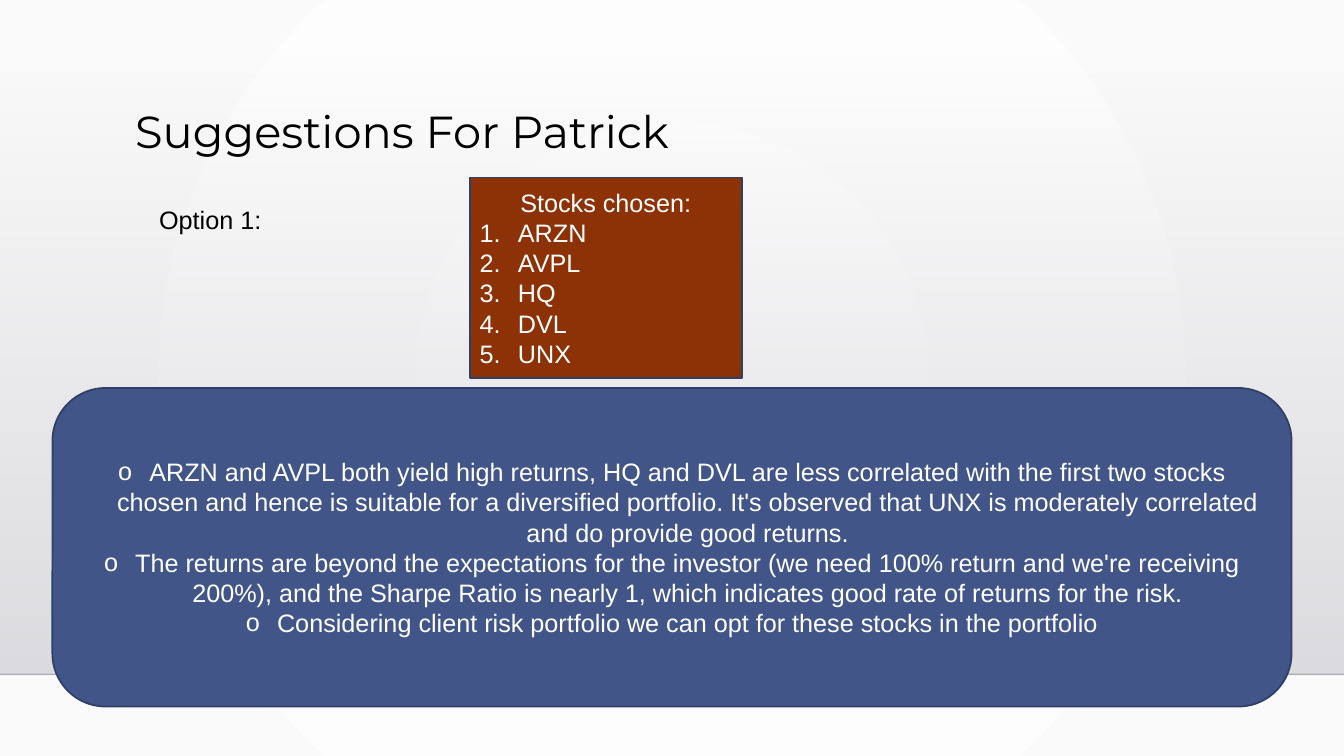
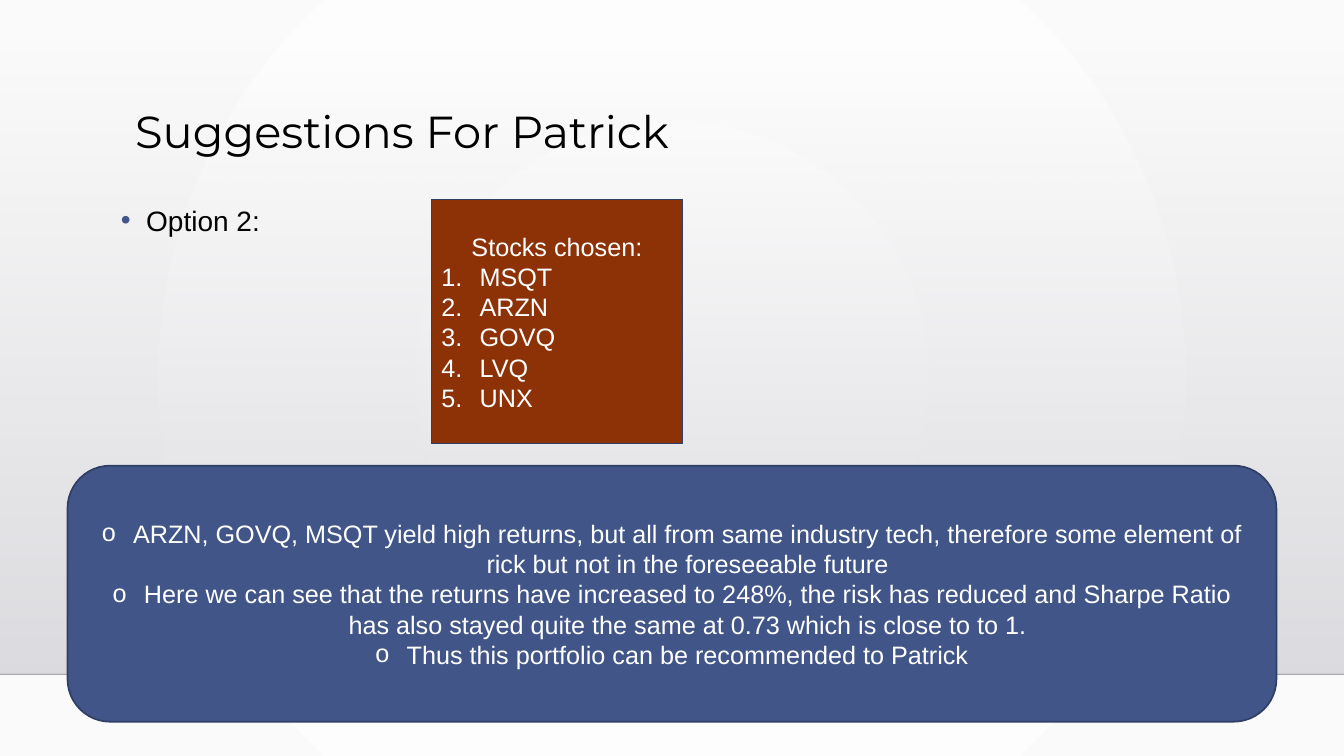
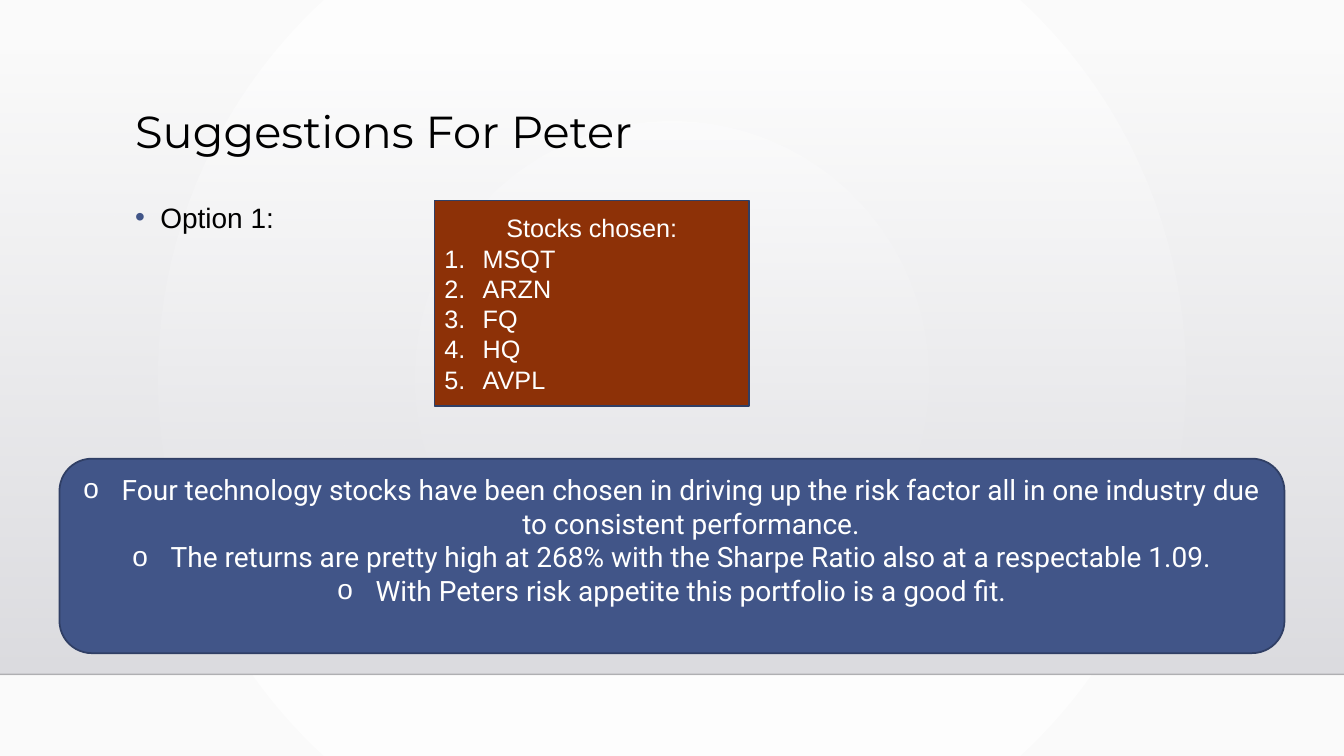
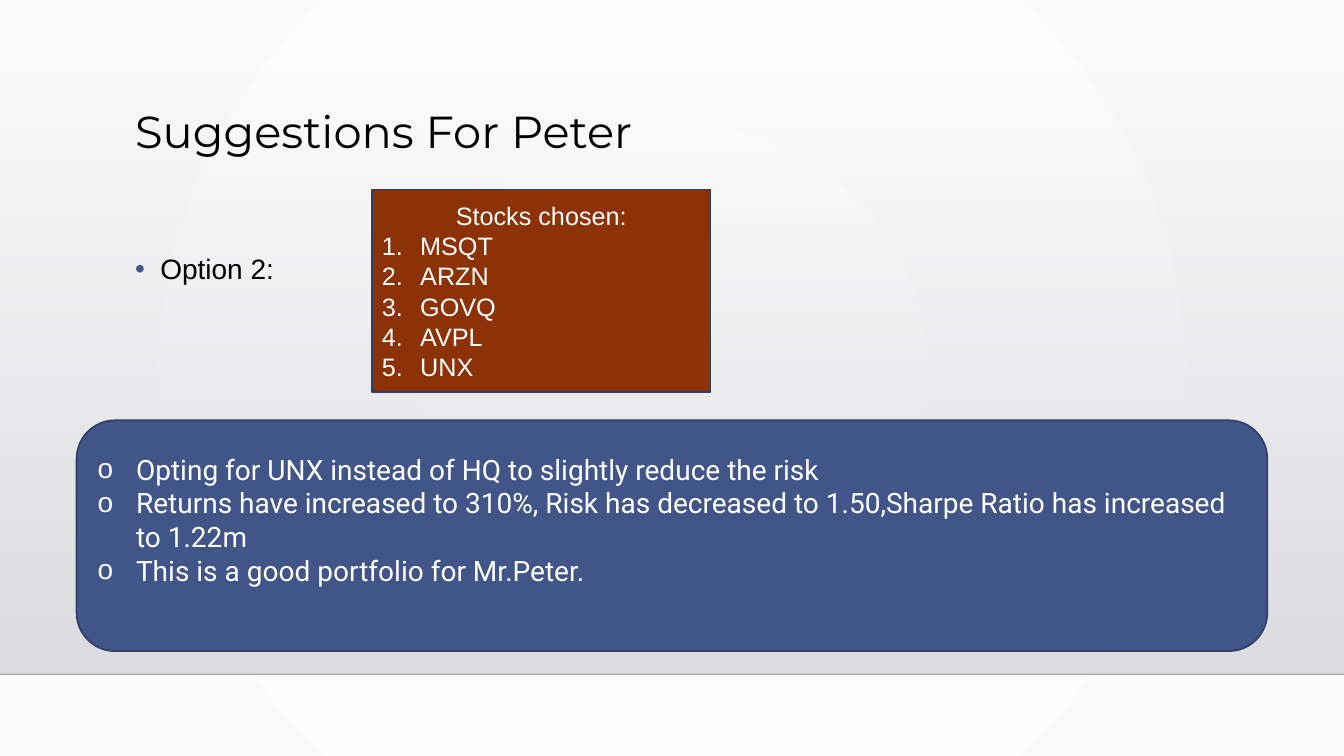
from lxml import etree
from pptx import Presentation, util as u
from pptx.dml.color import RGBColor
from pptx.enum import shapes, text
from pptx.oxml import parse_xml
from pptx.oxml.ns import nsdecls, qn

COLORS = {
    "ink": "000000", "paper": "FFFFFF", "rust": "8D3107", "blue": "415588",
    "outline": "303F65", "rule": "000001", "back_edge": "FAFAFA",
    "band_top": "DCDCE0", "band_bottom": "DEDEE2",
}
TITLE_FONT, TEXT_FONT, ALT_FONT = "Montserrat", "Arial", "Roboto"
ALIGN = text.PP_ALIGN
TITLE_AND_BODY, TITLE_ONLY = 1, 5


def rgb(name):
    return RGBColor.from_string(COLORS[name])


def add_xml(parent, tag, **attributes):
    return etree.SubElement(parent, qn(tag), attributes)


def set_alpha(color_parent, percent):
    add_xml(color_parent.find(".//" + qn("a:srgbClr")), "a:alpha",
            val=str(percent * 1000))


def set_gradient(fill, first, last):
    fill.gradient()
    for stop, name in zip(fill.gradient_stops, (first, last)):
        stop.color.rgb = rgb(name)


def set_bullet(para, bullet, indent, color=None):
    """Hang a bullet character, or a running number for "1.", before the text."""
    props = para._p.get_or_add_pPr()
    width = u.Inches(indent)
    props.set("marL", str(width))
    props.set("indent", str(-width))
    if color:
        add_xml(add_xml(props, "a:buClr"), "a:srgbClr", val=COLORS[color])
    add_xml(props, "a:buFont", typeface=TEXT_FONT)
    if bullet == "1.":
        add_xml(props, "a:buAutoNum", type="arabicPeriod")
    else:
        add_xml(props, "a:buChar", char=bullet)


def write(frame, lines, size=18, font=TEXT_FONT, color="paper", align=ALIGN.LEFT,
          bullet=None, indent=0.38, bullet_color=None, spacing=None, before=None):
    """Add one paragraph a line, after any text already in the frame."""
    for line in lines:
        para = frame.add_paragraph() if frame.text else frame.paragraphs[0]
        para.alignment = align
        if spacing:
            para.line_spacing = spacing
        if before:
            para.space_before = u.Pt(before)
        if bullet:
            set_bullet(para, bullet, indent, bullet_color)
        span = para.add_run()
        span.text = line
        span.font.size = u.Pt(size)
        span.font.name = font
        span.font.color.rgb = rgb(color)


class Deck:
    """Holds the style and the current page; lengths are percent of the slide."""

    def __init__(self):
        self.deck = Presentation()
        self.deck.slide_width = u.Inches(13.33)
        self.deck.slide_height = u.Inches(7.5)
        self.page = None

    def area(self, left, top, width, height):
        across, down = self.deck.slide_width / 100, self.deck.slide_height / 100
        return [round(share * unit) for share, unit in
                zip((left, top, width, height), (across, down) * 2)]

    def place(self, box, area):
        box.left, box.top, box.width, box.height = self.area(*area)
        frame = box.text_frame
        frame.word_wrap = True
        frame.auto_size = text.MSO_AUTO_SIZE.NONE
        frame.vertical_anchor = text.MSO_ANCHOR.TOP
        return frame

    def new_page(self, title, layout=TITLE_AND_BODY):
        self.page = self.deck.slides.add_slide(self.deck.slide_layouts[layout])
        if len(self.deck.slides) == 1:
            self.style_master()
        frame = self.place(self.page.shapes.title, (9.3, 13.87, 78.75, 15.33))
        write(frame, [title], size=32, font=TITLE_FONT, color="ink", spacing=0.9)

    def style_master(self):
        """Give the master its background, and move a band and a rule onto it."""
        master = self.deck.slide_master
        set_gradient(master.background.fill, "paper", "back_edge")
        gradient = master.element.find(".//" + qn("p:bg")).find(".//" + qn("a:gradFill"))
        for linear in gradient.findall(qn("a:lin")):
            gradient.remove(linear)
        gradient.append(parse_xml(
            f'<a:path {nsdecls("a")} path="circle">'
            '<a:fillToRect l="50000" t="50000" r="50000" b="50000"/></a:path>'))

        band = self.shape(shapes.MSO_SHAPE.RECTANGLE, (0, 6.8, 100, 82.4))
        set_gradient(band.fill, "band_top", "band_bottom")
        band.fill.gradient_angle = 270
        set_alpha(band.element.find(".//" + qn("a:gs")), 0)
        band.line.fill.background()

        left, top, width, _ = self.area(0, 89.2, 100, 0)
        rule = self.page.shapes.add_connector(
            shapes.MSO_CONNECTOR.STRAIGHT, left, top, left + width, top)
        rule.line.width = u.Pt(1)
        rule.line.color.rgb = rgb("rule")
        set_alpha(rule.element.spPr, 20)
        add_xml(rule.element.spPr, "a:effectLst")

        for place, item in enumerate((band, rule)):
            item.element.find(".//" + qn("p:cNvPr")).set("id", str(100 + place))
            master.shapes.element.insert(2 + place, item.element)

    def shape(self, kind, area, fill="paper"):
        box = self.page.shapes.add_shape(kind, *self.area(*area))
        box.shadow.inherit = False
        box.fill.solid()
        box.fill.fore_color.rgb = rgb(fill)
        box.line.color.rgb = rgb("outline")
        box.line.width = u.Pt(1.25)
        box.text_frame.word_wrap = True
        box.text_frame.vertical_anchor = text.MSO_ANCHOR.MIDDLE
        return box

    def option(self, label, area):
        frame = self.place(self.page.placeholders[1], area)
        write(frame, [label], size=20, color="ink", bullet="•", indent=0.25,
              bullet_color="blue", spacing=1.2, before=10)

    def label(self, line, area):
        box = self.page.shapes.add_textbox(*self.area(*area))
        write(self.place(box, area), [line], color="ink")

    def stocks(self, names, area):
        frame = self.shape(shapes.MSO_SHAPE.RECTANGLE, area, "rust").text_frame
        write(frame, ["Stocks chosen:"], align=ALIGN.CENTER)
        write(frame, names.split(), bullet="1.")

    def reasons(self, lines, top, width, height, raised=False, **style):
        """Draw the rounded panel, centred on the slide; raised lifts its text."""
        area = ((100 - width) / 2, top, width, height)
        frame = self.shape(shapes.MSO_SHAPE.ROUNDED_RECTANGLE, area, "blue").text_frame
        if raised:
            frame.margin_bottom = u.Inches(0.37)
        write(frame, lines, bullet="o", **style)


def main():
    show = Deck()
    compact = dict(align=ALIGN.CENTER, indent=0.31)
    large = dict(raised=True, size=20, font=ALT_FONT)

    show.new_page("Suggestions For Patrick", TITLE_ONLY)
    show.stocks("ARZN AVPL HQ DVL UNX", (34.95, 23.47, 20.25, 26.53))
    show.label("Option 1:", (11.1, 26.4, 14.8, 5.33))
    show.reasons([
        "ARZN and AVPL both yield high returns, HQ and DVL are less correlated with "
        "the first two stocks chosen and hence is suitable for a diversified "
        "portfolio. It's observed that UNX is moderately correlated and do provide "
        "good returns.",
        "The returns are beyond the expectations for the investor (we need 100% "
        "return and we're receiving 200%), and the Sharpe Ratio is nearly 1, which "
        "indicates good rate of returns for the risk.",
        "Considering client risk portfolio we can opt for these stocks in the portfolio",
    ], 51.33, 92.2, 42.13, **compact)

    show.new_page("Suggestions For Patrick")
    show.option("Option 2:", (8.25, 25.33, 23.85, 8))
    show.stocks("MSQT ARZN GOVQ LVQ UNX", (32.1, 26.4, 18.68, 32.27))
    show.reasons([
        "ARZN, GOVQ, MSQT yield high returns, but all from same industry tech, "
        "therefore some element of rick but not in the foreseeable future",
        "Here we can see that the returns have increased to 248%, the risk has "
        "reduced and Sharpe Ratio has also stayed quite the same at 0.73 which is "
        "close to to 1.",
        "Thus this portfolio can be recommended to Patrick",
    ], 61.6, 89.95, 33.87, **compact)

    show.new_page("Suggestions For Peter")
    show.option("Option 1:", (9.3, 24.93, 25.43, 8.53))
    show.stocks("MSQT ARZN FQ HQ AVPL", (32.33, 26.53, 23.4, 27.2))
    show.reasons([
        "Four technology stocks have been chosen in driving up the risk factor all "
        "in one industry due to consistent performance.",
        "The returns are pretty high at 268% with the Sharpe Ratio also at a "
        "respectable 1.09.",
        "With Peters risk appetite this portfolio is a good fit.",
    ], 60.67, 91.15, 25.73, align=ALIGN.CENTER, **large)

    show.new_page("Suggestions For Peter")
    show.option("Option 2:", (9.3, 31.73, 22.88, 7.87))
    show.stocks("MSQT ARZN GOVQ AVPL UNX", (27.68, 25.07, 25.2, 26.8))
    show.reasons([
        "Opting for UNX instead of HQ to slightly reduce the risk",
        "Returns have increased to 310%, Risk has decreased to 1.50,Sharpe Ratio has "
        "increased to 1.22m",
        "This is a good portfolio for Mr.Peter.",
    ], 55.6, 88.6, 30.53, **large)

    show.deck.save("out.pptx")


if __name__ == "__main__":
    main()
